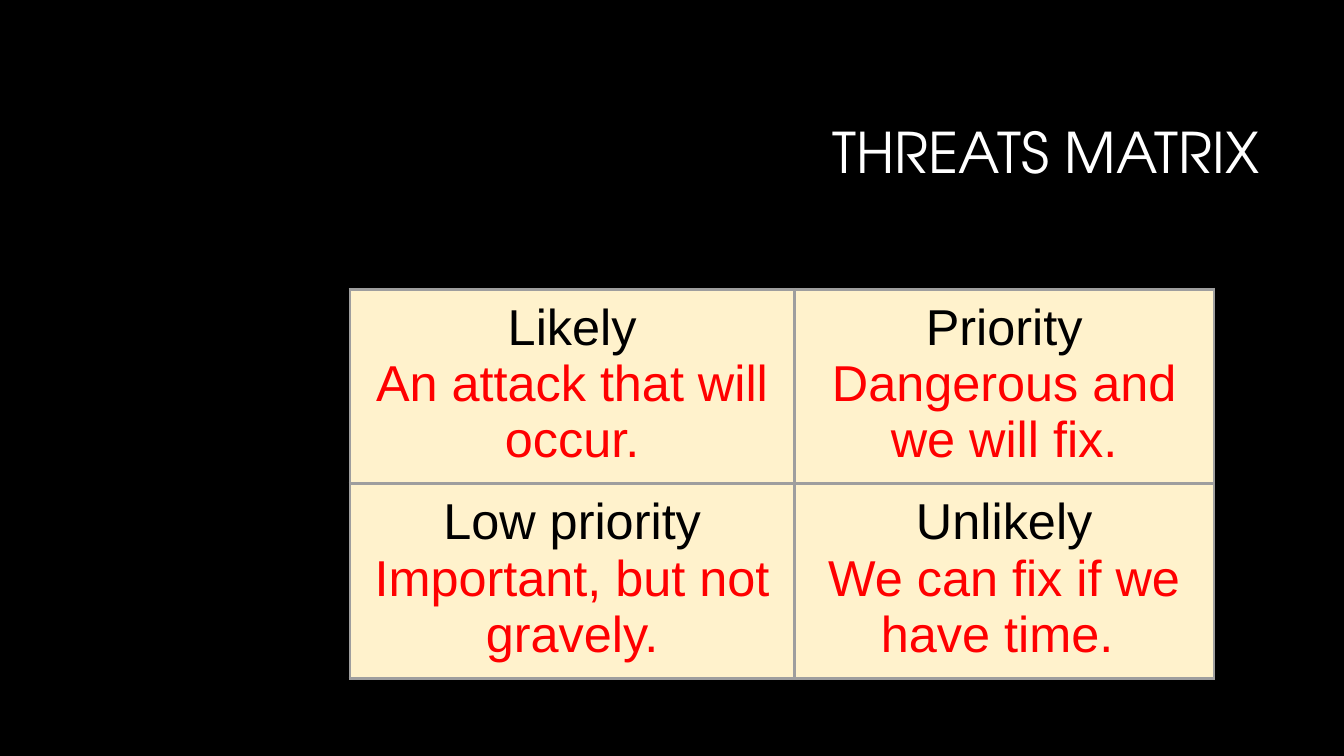
from lxml.etree import SubElement
from pptx import Presentation
from pptx.dml.color import RGBColor
from pptx.enum.text import MSO_ANCHOR, PP_ALIGN
from pptx.oxml.ns import qn
from pptx.util import Emu, Pt

PX = 9144  # EMU per px, 100 px to the inch

BLACK = RGBColor(0x00, 0x00, 0x00)
WHITE = RGBColor(0xFF, 0xFF, 0xFF)
RED = RGBColor(0xFF, 0x00, 0x00)
CREAM = RGBColor(0xFF, 0xF2, 0xCC)
GRAY = RGBColor(0x9E, 0x9E, 0x9E)

TITLE_FONT = "TeX Gyre Adventor"
TABLE_FONT = "Arial"

TITLE_BOX = (317, 84, 942, 141)
MATRIX_BOX = (347, 287, 857, 386)
LEFT_COLUMN_WIDTH = 441
CELL_MARGIN = 10

THREATS = [
    [("Likely", "An attack that will occur."),
     ("Priority", "Dangerous and we will fix.")],
    [("Low priority", "Important, but not gravely."),
     ("Unlikely", "We can fix if we have time. ")],
]


def px(length):
    return Emu(length * PX)


def add_run(paragraph, text, font_name, size, color):
    run = paragraph.add_run()
    run.text = text
    run.font.name = font_name
    run.font.size = Pt(size)
    run.font.color.rgb = color


def add_title(slide, box, text):
    title = slide.shapes.title
    title.left, title.top, title.width, title.height = map(px, box)
    frame = title.text_frame
    frame.word_wrap = True
    frame.vertical_anchor = MSO_ANCHOR.MIDDLE
    paragraph = frame.paragraphs[0]
    paragraph.alignment = PP_ALIGN.RIGHT
    paragraph.line_spacing = 0.9
    add_run(paragraph, text, TITLE_FONT, 40, WHITE)


def add_borders(cell):
    properties = cell._tc.get_or_add_tcPr()
    for side in ("a:lnL", "a:lnR", "a:lnT", "a:lnB"):
        line = SubElement(properties, qn(side), w=str(Pt(2.25)))
        fill = SubElement(line, qn("a:solidFill"))
        SubElement(fill, qn("a:srgbClr"), val=str(GRAY))


def fill_cell(cell, heading, explanation):
    add_borders(cell)
    cell.fill.solid()
    cell.fill.fore_color.rgb = CREAM
    cell.margin_left = cell.margin_right = px(CELL_MARGIN)
    cell.margin_top = cell.margin_bottom = px(CELL_MARGIN)
    frame = cell.text_frame
    for paragraph, text, color in (
        (frame.paragraphs[0], heading, BLACK),
        (frame.add_paragraph(), explanation, RED),
    ):
        paragraph.alignment = PP_ALIGN.CENTER
        add_run(paragraph, text, TABLE_FONT, 36, color)


def add_matrix(slide, box, rows):
    left, top, width, height = box
    table = slide.shapes.add_table(
        len(rows), len(rows[0]), px(left), px(top), px(width), px(height)
    ).table
    table.first_row = False
    table.horz_banding = False
    table.columns[0].width = px(LEFT_COLUMN_WIDTH)
    table.columns[1].width = px(width - LEFT_COLUMN_WIDTH)
    for row_index, row in enumerate(rows):
        for column_index, (heading, explanation) in enumerate(row):
            fill_cell(table.cell(row_index, column_index), heading, explanation)


def main():
    presentation = Presentation()
    presentation.slide_width = px(1333)
    presentation.slide_height = px(750)
    title_only = presentation.slide_layouts[5]
    slide = presentation.slides.add_slide(title_only)
    slide.background.fill.solid()
    slide.background.fill.fore_color.rgb = BLACK
    add_title(slide, TITLE_BOX, "THREATS MATRIX")
    add_matrix(slide, MATRIX_BOX, THREATS)
    presentation.save("out.pptx")


if __name__ == "__main__":
    main()
